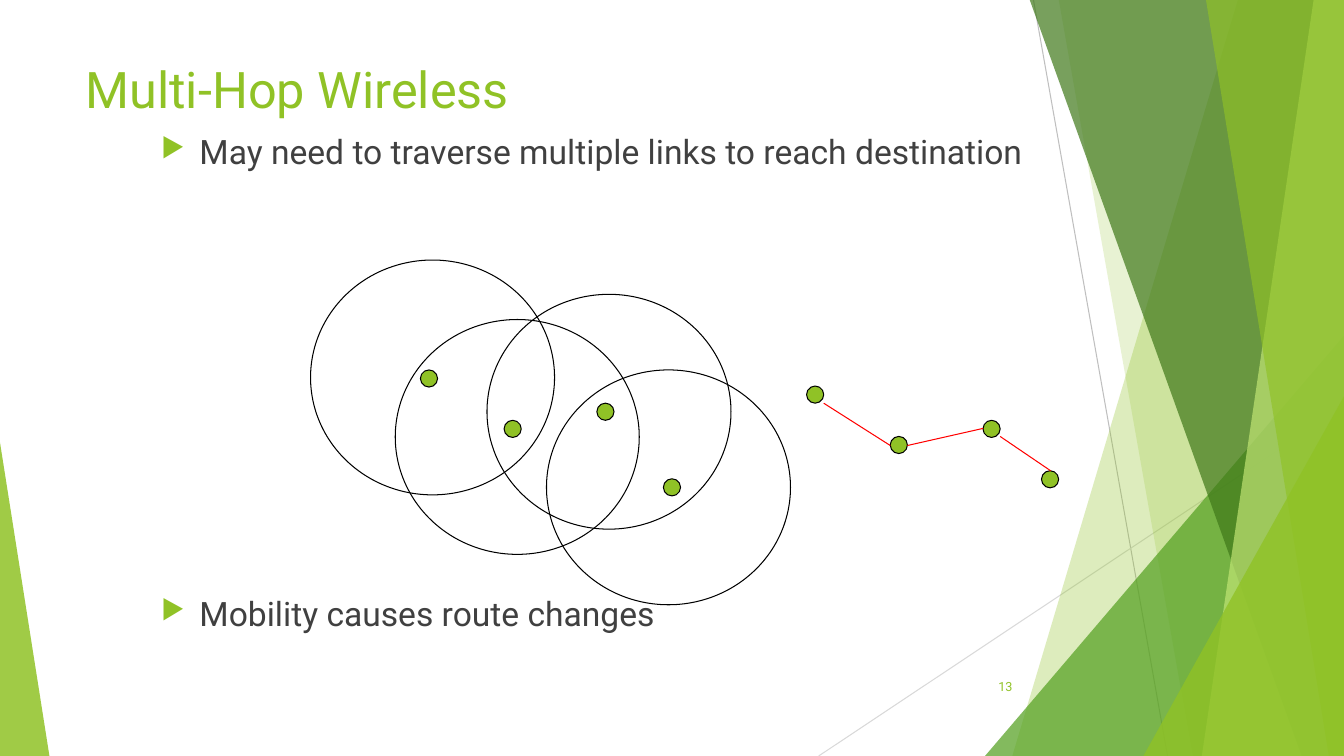
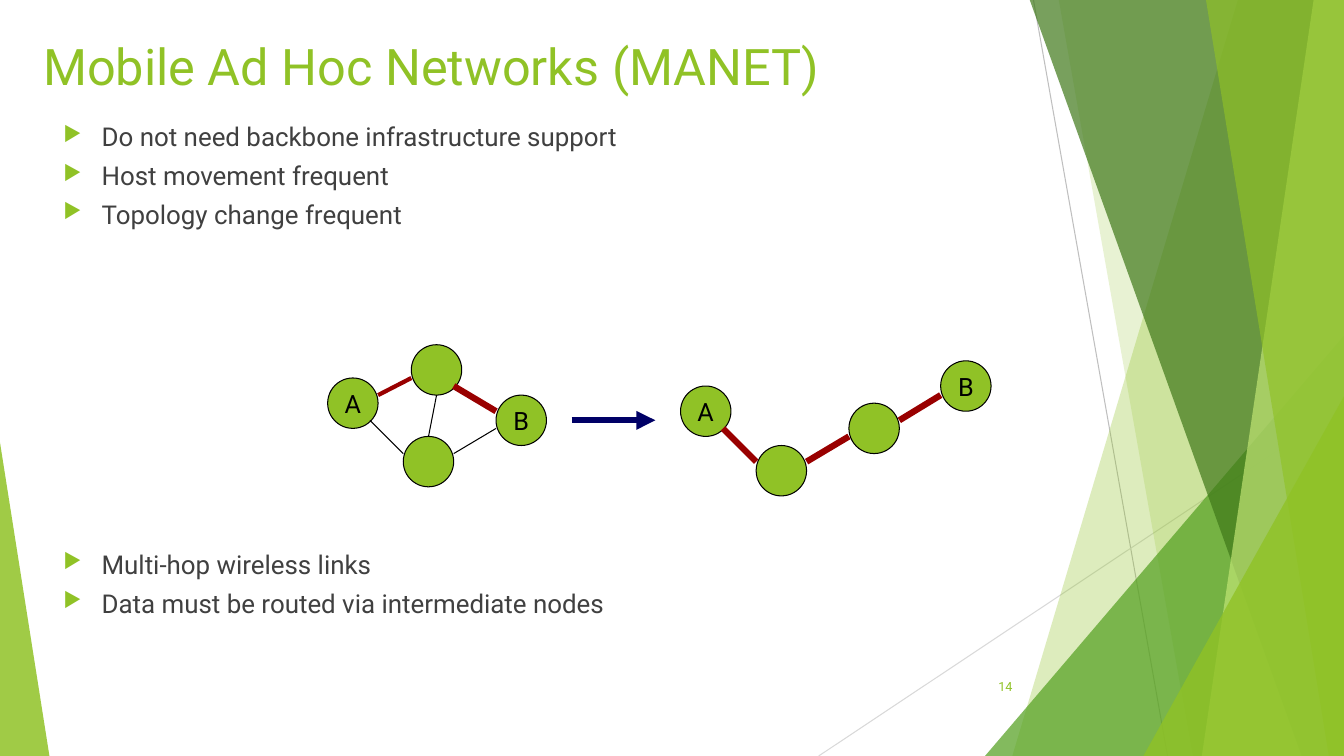
"""Build two slides on multi-hop wireless and mobile ad hoc networks."""
from lxml import etree
from pptx import Presentation
from pptx import util as u
from pptx.dml.color import RGBColor
from pptx.enum import shapes as es, text as et
from pptx.oxml import ns

HUES = {
    "lime": "90C226", "leaf": "54A021", "pine": "3F7819", "pale": "C0E474",
    "gray": "BFBFBF", "mist": "D9D9D9", "ink": "404040", "black": "000000",
    "red": "FF0000", "wine": "990000", "navy": "000066",
}
FACE = "Roboto"
WIDE, HIGH, TOP = 13.33, 7.5, -0.01
RING = (2.42, 2.33)
DOT = (0.17, 0.17)
NODE = (0.5, 0.5)
THIN = 0.75


def hue(name):
    return RGBColor.from_string(HUES[name])


def put(item, fmt):
    for key, value in fmt.items():
        setattr(item, key, value)


def sub(parent, tag, **attrs):
    return etree.SubElement(parent, ns.qn(tag), attrs)


def write(para, words, size, color):
    run = para.add_run()
    run.text = words
    put(run.font, {"name": FACE, "size": u.Pt(size)})
    run.font.color.rgb = hue(color)


def paint(shape, fill=None, line=None, alpha=100):
    shape.shadow.inherit = False
    if fill:
        shape.fill.solid()
        shape.fill.fore_color.rgb = hue(fill)
        if alpha < 100:
            tint = shape.fill._xPr.find(ns.qn("a:solidFill"))[0]
            sub(tint, "a:alpha", val=str(alpha * 1000))
    else:
        shape.fill.background()
    if line:
        shape.line.color.rgb = hue(line)
        shape.line.width = u.Pt(THIN)
    else:
        shape.line.fill.background()


def link(slide, start, end, color, width=THIN, arrow=False):
    ends = [u.Inches(v) for v in (*start, *end)]
    line = slide.shapes.add_connector(es.MSO_CONNECTOR.STRAIGHT, *ends)
    line.line.color.rgb = hue(color)
    line.line.width = u.Pt(width)
    if arrow:
        sub(line.line._get_or_add_ln(), "a:tailEnd", type="triangle")
    sub(line._element.spPr, "a:effectLst")


def band(slide, head, foot, color, alpha):
    """Fill from a slanted left edge to the right side of the slide."""
    spots = [(head, TOP), (WIDE, TOP), (WIDE, HIGH), (foot, HIGH)]
    pts = [(u.Inches(x), u.Inches(y)) for x, y in spots]
    pen = slide.shapes.build_freeform(*pts[0], scale=1.0)
    pen.add_line_segments(pts[1:], close=True)
    paint(pen.convert_to_shape(), color, alpha=alpha)


def wedge(slide, left, top, width, tip, color, alpha):
    box = [u.Inches(v) for v in (left, top, width, HIGH - top)]
    shape = slide.shapes.add_shape(es.MSO_SHAPE.ISOSCELES_TRIANGLE, *box)
    shape.adjustments[0] = tip
    paint(shape, color, alpha=alpha)


def oval(slide, spot, size, fill=None, label=None):
    box = [u.Inches(v) for v in (*spot, *size)]
    shape = slide.shapes.add_shape(es.MSO_SHAPE.OVAL, *box)
    paint(shape, fill, "black")
    if label:
        frame = shape.text_frame
        put(frame, {"word_wrap": False, "vertical_anchor": et.MSO_ANCHOR.MIDDLE})
        frame.paragraphs[0].alignment = et.PP_ALIGN.CENTER
        write(frame.paragraphs[0], label, 18, "black")


def frame(slide, box, anchor=et.MSO_ANCHOR.MIDDLE):
    area = slide.shapes.add_textbox(*[u.Inches(v) for v in box]).text_frame
    put(area, {"word_wrap": True, "vertical_anchor": anchor})
    return area


def bullets(slide, box, size, items):
    """Write (text, space before) pairs as bulleted paragraphs."""
    area = frame(slide, box, et.MSO_ANCHOR.TOP)
    for num, (words, gap) in enumerate(items):
        para = area.add_paragraph() if num else area.paragraphs[0]
        props = para._p.get_or_add_pPr()
        put_in = u.Inches(0.38)
        props.set("marL", str(put_in))
        props.set("indent", str(-put_in))
        sub(sub(props, "a:buClr"), "a:srgbClr", val=HUES["lime"])
        sub(props, "a:buSzPct", val="80000")
        sub(props, "a:buChar", char="▶")
        put(para, {"line_spacing": 0.8, "space_before": u.Pt(gap)})
        write(para, words, size, "ink")


def base(deck, title, box, number):
    """Add a slide with the shared backdrop, title and page number."""
    slide = deck.slides.add_slide(deck.slide_layouts[6])
    link(slide, (10.25, 0), (11.58, HIGH), "gray")
    link(slide, (WIDE, 4.03), (8.12, HIGH), "mist")
    band(slide, 12.28, 10.04, "lime", 30)
    band(slide, 10.5, 11.83, "lime", 20)
    wedge(slide, 9.77, 3.33, 3.56, 1, "leaf", 72)
    band(slide, 10.21, 12.91, "pine", 70)
    band(slide, 13.03, 11.92, "pale", 70)
    band(slide, 11.96, 13.18, "lime", 65)
    wedge(slide, 11.34, 3.93, 1.99, 1, "lime", 80)
    wedge(slide, 0, 4.39, 0.49, 0, "lime", 85)
    page = frame(slide, (9.39, 6.61, 0.75, 0.4)).paragraphs[0]
    page.alignment = et.PP_ALIGN.RIGHT
    write(page, str(number), 9, "lime")
    write(frame(slide, box).paragraphs[0], title, 36, "lime")
    return slide


def hops(deck):
    slide = base(deck, "Multi-Hop Wireless", (0.75, 0.25, 8.5, 1.25), 13)
    bullets(slide, (1.5, 1.33, 9.6, 5.24), 24, [
        ("May need to traverse multiple links to reach destination", 0),
        ("Mobility causes route changes", 307),
    ])
    for spot in [(3.08, 2.58), (3.92, 3.17), (4.83, 2.92), (5.42, 3.67)]:
        oval(slide, spot, RING)
    for spot in [(4.17, 3.67), (5, 4.17), (5.92, 4), (6.58, 4.75),
                 (8, 3.83), (8.83, 4.33), (9.75, 4.17), (10.33, 4.67)]:
        oval(slide, spot, DOT, "lime")
    for start, end in [((8.17, 4), (8.83, 4.42)), ((9, 4.42), (9.75, 4.25)),
                       ((9.92, 4.33), (10.42, 4.67))]:
        link(slide, start, end, "red")


def manet(deck):
    slide = base(deck, "Mobile Ad Hoc Networks (MANET)",
                 (0.33, 0.23, 8.5, 0.83), 14)
    bullets(slide, (0.53, 1.21, 10.7, 5.08), 18.5, [
        ("Do not need backbone infrastructure support", 0),
        ("Host movement frequent", 10),
        ("Topology change frequent", 10),
        ("Multi-hop wireless links", 232),
        ("Data must be routed via intermediate nodes", 10),
    ])
    for spot, label in [((3.25, 3.75), "A"), ((4.08, 3.42), None),
                        ((4, 4.33), None), ((4.92, 3.92), "B"),
                        ((6.75, 3.83), "A"), ((7.5, 4.42), None),
                        ((8.42, 4), None), ((9.33, 3.58), "B")]:
        oval(slide, spot, NODE, "lime", label)
    for start, end in [((4.33, 3.92), (4.25, 4.33)), ((4.5, 4.5), (4.92, 4.25)),
                       ((3.67, 4.17), (4, 4.5))]:
        link(slide, start, end, "black")
    link(slide, (3.75, 3.92), (4.08, 3.75), "wine", 3)
    for start, end in [((4.5, 3.83), (4.92, 4.08)), ((7.17, 4.25), (7.5, 4.58)),
                       ((8, 4.58), (8.42, 4.33)), ((8.92, 4.17), (9.33, 3.92))]:
        link(slide, start, end, "wine", 4.5)
    link(slide, (5.67, 4.17), (6.5, 4.17), "navy", 4.5, arrow=True)


def main():
    deck = Presentation()
    put(deck, {"slide_width": u.Inches(WIDE), "slide_height": u.Inches(HIGH)})
    hops(deck)
    manet(deck)
    deck.save("out.pptx")


if __name__ == "__main__":
    main()
